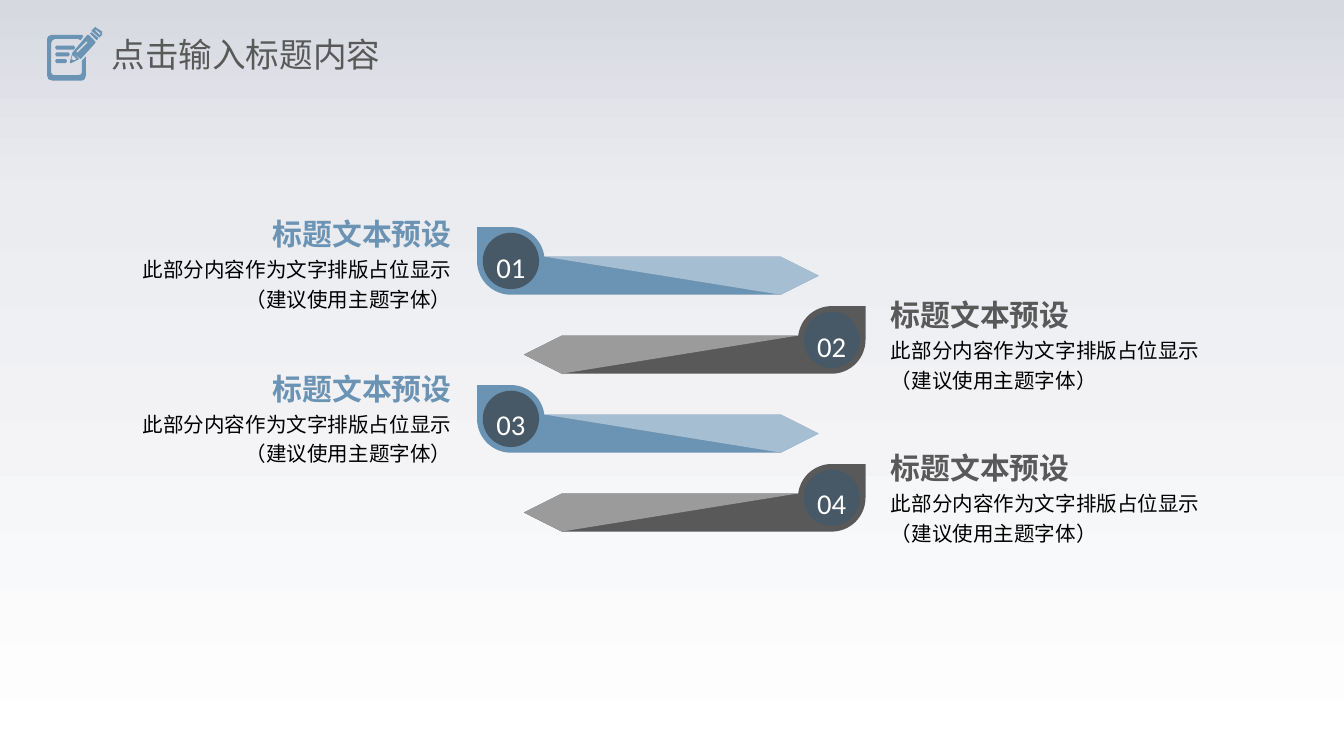
import copy
import math
from dataclasses import dataclass

from pptx import Presentation, util as u
from pptx.dml.color import RGBColor
from pptx.enum import shapes, text

# Content: number, side of the text, top of the heading
TITLE = "点击输入标题内容"
HEADING = "标题文本预设"
BODY = "此部分内容作为文字排版占位显示\v（建议使用主题字体）"
ITEMS = [("01", "left", 115.2), ("02", "right", 158.4),
         ("03", "left", 198), ("04", "right", 240.5)]

# Notepad and pencil icon, in hundredths of an inch; later contours cut holes
ICON_UNIT = 0.72
ICON = [
    [(38, 26), (61, 26), (62, 27), (60, 30), (58, 29), (41, 29), (39, 30), (38, 32),
     (38, 54), (39, 55.5), (41, 56), (58, 56), (60, 55.5), (61, 54), (61, 45), (64, 42),
     (64, 56), (63, 59), (61, 60), (39, 60), (36, 59), (35, 56), (35, 29), (36, 27)],
    [(66, 26), (71, 31), (71, 32), (61, 43), (60, 44), (54, 39), (55, 38), (65, 26)],
    [(64, 31), (57, 38), (57, 39), (58, 39), (65, 32), (65, 31)],
    [(54, 39), (59, 44), (53, 47), (52, 47), (52, 46)],
    [(54, 41), (53, 44), (55, 45), (57, 44)],
    [(68, 24), (73, 28), (73, 29), (72, 30), (67, 25)],
    [(71, 20), (72, 21), (76, 23.5), (76, 26), (74, 28), (68, 23), (70, 21)],
    [(71, 22), (71, 23), (74, 26), (75, 25)],
]
ICON_LINES = [(34, 56), (39, 52), (44, 50)]  # top and right end of each text line


@dataclass(frozen=True)
class Theme:
    blue: str = "6B93B3"
    light_blue: str = "A6BED1"
    gray: str = "595959"
    light_gray: str = "9B9B9B"
    disc: str = "475967"
    white: str = "FFFFFF"
    black: str = "000000"
    background: tuple = ((0, "D7D9E1"), (0.26, "EBECF0"), (1, "FFFFFF"))
    font: str = "Calibri"
    title_font: str = "Noto Sans CJK SC"
    title_size: float = 18
    heading_size: float = 16
    number_size: float = 15.4
    body_size: float = 11


theme = Theme()

# Layout in points
MIRROR = 719.3                      # right-hand x = MIRROR - left-hand x
POINTER_LEFT, POINTER_TOP, PITCH = 255.6, 121.7, 42.3
RADIUS, DISC_RADIUS = 18.1, 15.1
BAR_TOP, SHOULDER, TIP = 15.8, 162.7, 183
TEXT_LEFT, TEXT_WIDTH = 41.8, 211.7
HEADING_HEIGHT, BODY_HEIGHT = 20, 34.6

presentation = Presentation()
presentation.slide_width, presentation.slide_height = u.Pt(720), u.Pt(405)
slide = presentation.slides.add_slide(presentation.slide_layouts[6])


def paint(shape, color):
    shape.shadow.inherit = False
    shape.fill.solid()
    shape.fill.fore_color.rgb = RGBColor.from_string(color)
    shape.line.fill.background()


def add_outline(contours, color):
    scaled = [[(x * 100, y * 100) for x, y in contour] for contour in contours]
    builder = slide.shapes.build_freeform(*scaled[0][0], scale=u.Pt(0.01))
    for index, contour in enumerate(scaled):
        if index:
            builder.move_to(*contour[0])
        builder.add_line_segments(contour[1:], close=True)
    paint(builder.convert_to_shape(), color)


def add_text(content, box, size, color, align="left", font=theme.font, bold=False,
             insets=(0, 0, 0, 0), anchor=text.MSO_ANCHOR.TOP, spacing=1):
    frame = slide.shapes.add_textbox(*map(u.Pt, box)).text_frame
    frame.word_wrap = True
    frame.vertical_anchor = anchor
    (frame.margin_left, frame.margin_top,
     frame.margin_right, frame.margin_bottom) = map(u.Pt, insets)
    frame.text = content
    paragraph = frame.paragraphs[0]
    paragraph.alignment = text.PP_ALIGN[align.upper()]
    paragraph.line_spacing = spacing
    paragraph.font.name, paragraph.font.size = font, u.Pt(size)
    paragraph.font.bold = bold
    paragraph.font.color.rgb = RGBColor.from_string(color)


def arc(start, end, step=4):
    count = math.ceil((end - start) / step)
    angles = [math.radians(start + (end - start) * i / count) for i in range(count + 1)]
    return [(RADIUS * (1 + math.cos(a)), RADIUS * (1 + math.sin(a))) for a in angles]


# Background gradient, top to bottom, with a third stop added
fill = slide.background.fill
fill.gradient()
fill.gradient_angle = 270
first_stop = slide.element.xpath(".//a:gs")[0]
first_stop.addnext(copy.deepcopy(first_stop))
for stop, (position, color) in zip(fill.gradient_stops, theme.background):
    stop.position = position
    stop.color.rgb = RGBColor.from_string(color)

# Title and icon
lines = [[(42, top), (right - 1, top), (right, top + 1.5), (right - 1, top + 3),
          (42, top + 3), (41, top + 1.5)] for top, right in ICON_LINES]
add_outline([[(x * ICON_UNIT, y * ICON_UNIT) for x, y in contour]
             for contour in ICON + lines], theme.blue)
add_text(TITLE, (59.8, 13.7, 167.8, 30.2), theme.title_size, theme.gray,
         font=theme.title_font, insets=(0, 3.6, 0, 3.6), anchor=text.MSO_ANCHOR.MIDDLE)

# Pointer shape in its own coordinates, facing right
bar_end = [(SHOULDER, BAR_TOP), (TIP, (BAR_TOP + 2 * RADIUS) / 2), (SHOULDER, 2 * RADIUS)]
join = math.degrees(math.asin(BAR_TOP / RADIUS - 1))
body_outline = [(0, 0)] + arc(-90, join) + bar_end + arc(90, 180)
facet = [arc(-90, join)[-1]] + bar_end

for row, (number, side, heading_top) in enumerate(ITEMS):
    on_left = side == "left"
    top = POINTER_TOP + row * PITCH
    main, light = ((theme.blue, theme.light_blue) if on_left
                   else (theme.gray, theme.light_gray))

    def across(x):
        return x if on_left else MIRROR - x

    # Pointer with its light facet
    for outline, color in ((body_outline, main), (facet, light)):
        add_outline([[(across(POINTER_LEFT + x), top + y) for x, y in outline]], color)

    # Numbered disc
    center_x, center_y = across(POINTER_LEFT + RADIUS), top + RADIUS
    disc = slide.shapes.add_shape(
        shapes.MSO_SHAPE.OVAL, u.Pt(center_x - DISC_RADIUS), u.Pt(center_y - DISC_RADIUS),
        u.Pt(2 * DISC_RADIUS), u.Pt(2 * DISC_RADIUS))
    paint(disc, theme.disc)
    add_text(number, (center_x - 9.4, top + 7.6, 18.8, 19.4), theme.number_size,
             theme.white, "center", insets=(0, 4.3, 0, 0))

    # Heading and body
    left = TEXT_LEFT if on_left else MIRROR - TEXT_LEFT - TEXT_WIDTH
    align = "right" if on_left else "left"
    side_insets = (11.5, 0, 11.5, 0)
    add_text(HEADING, (left, heading_top, TEXT_WIDTH, HEADING_HEIGHT), theme.heading_size,
             main, align, bold=True, insets=side_insets, anchor=text.MSO_ANCHOR.MIDDLE)
    add_text(BODY, (left, heading_top + HEADING_HEIGHT, TEXT_WIDTH, BODY_HEIGHT),
             theme.body_size, theme.black, align, insets=side_insets, spacing=1.2)

presentation.save("out.pptx")
